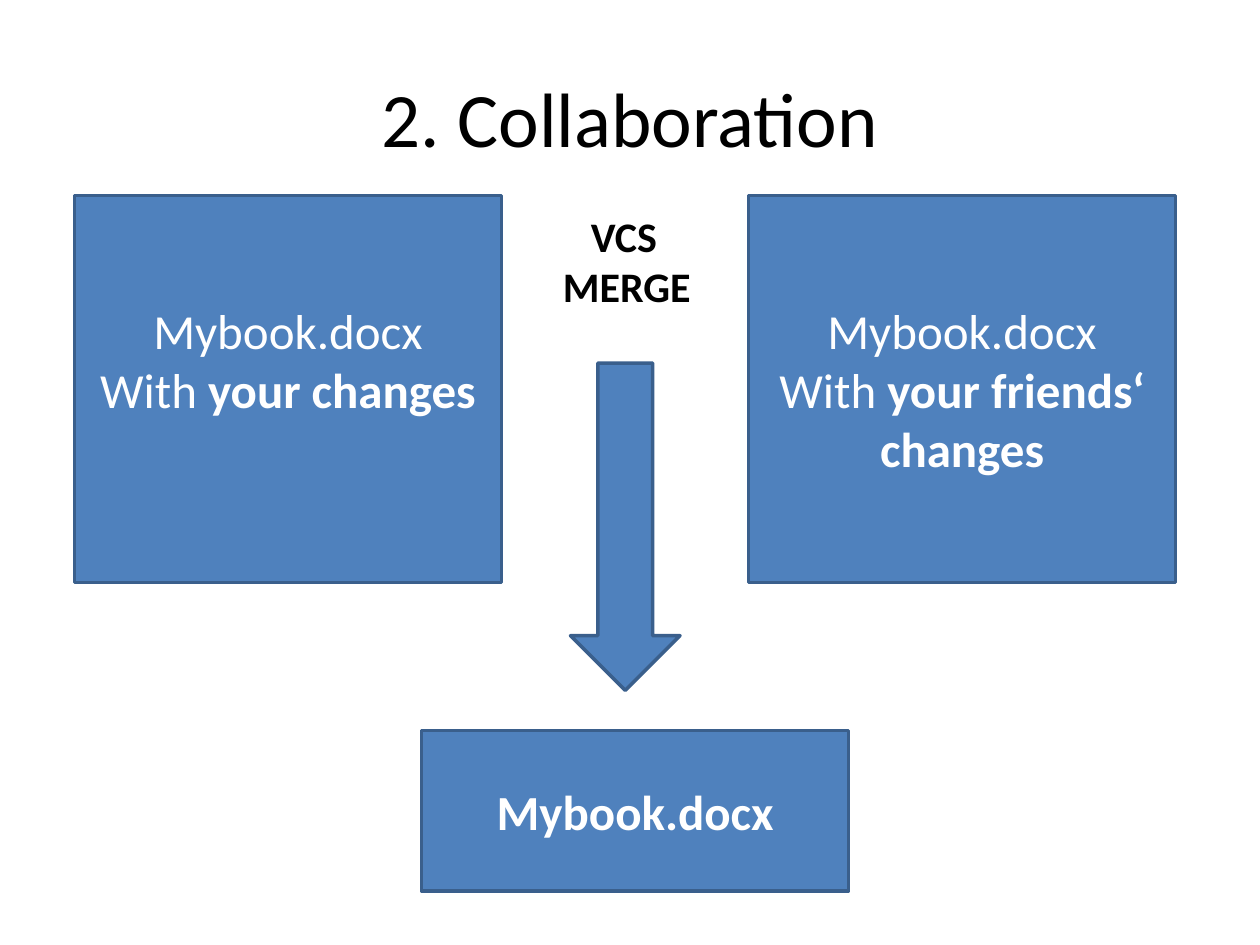
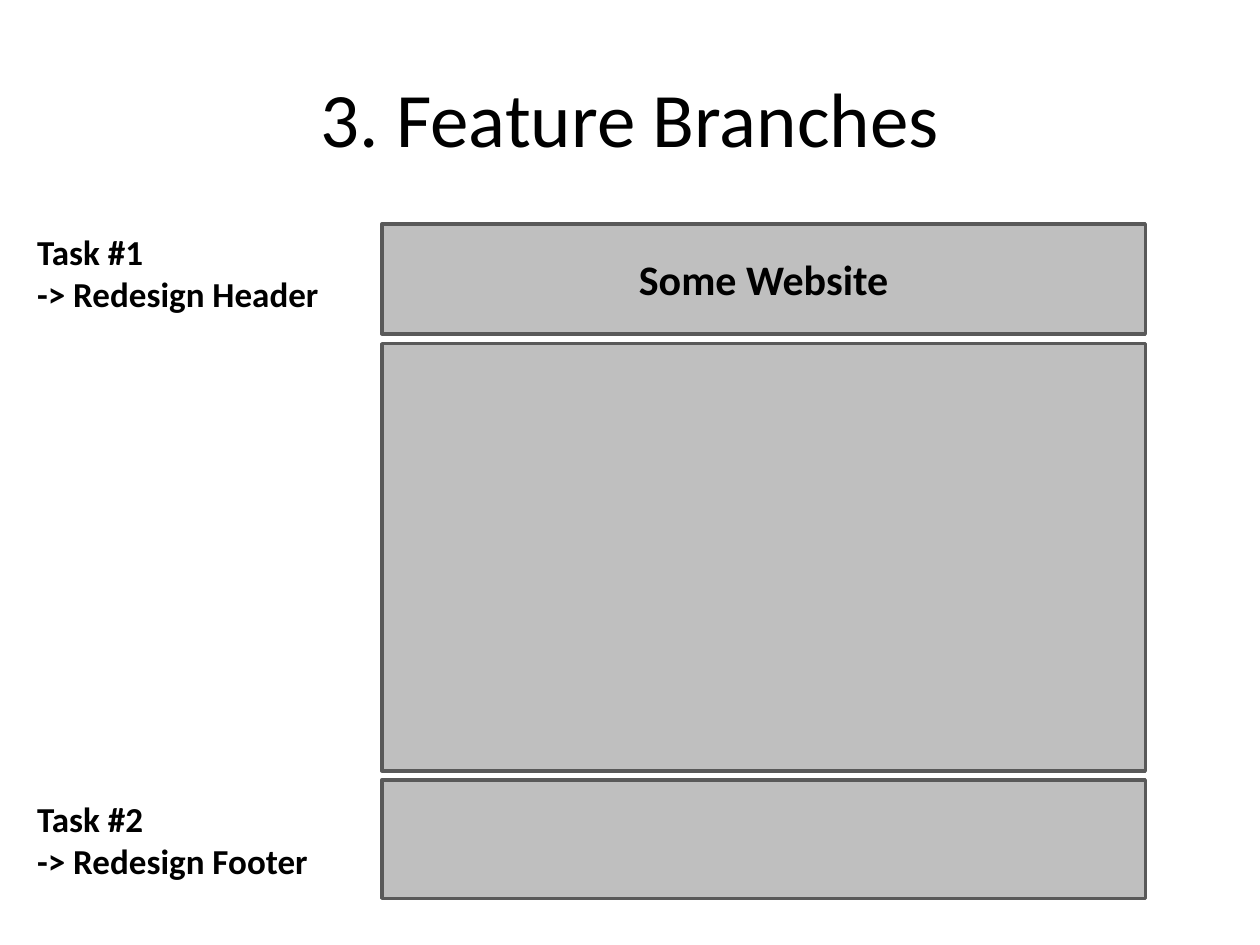
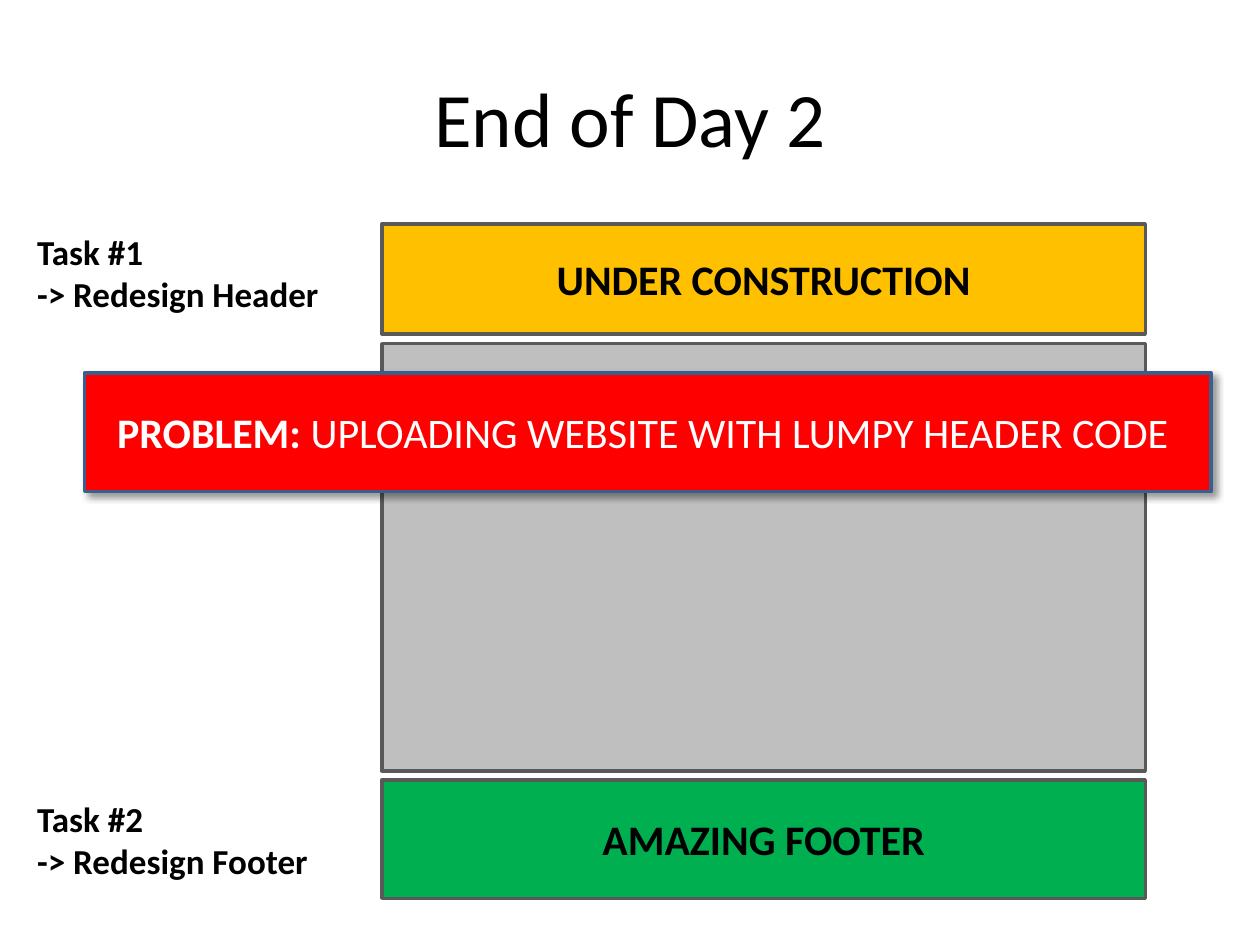
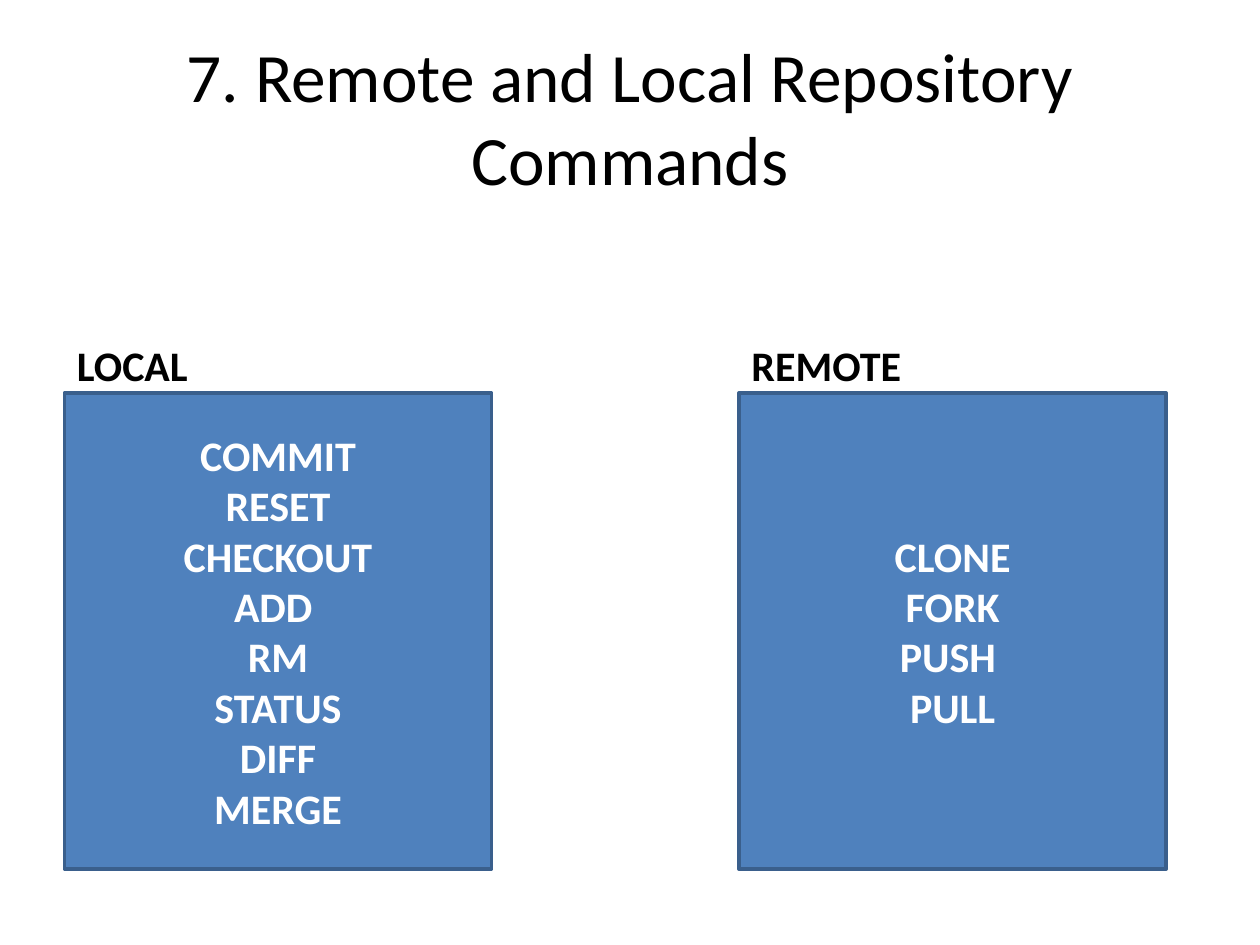
from dataclasses import dataclass

from lxml import etree
from pptx import Presentation
from pptx.dml.color import RGBColor
from pptx.enum.shapes import MSO_SHAPE
from pptx.enum.text import MSO_ANCHOR, MSO_AUTO_SIZE, PP_ALIGN
from pptx.oxml.ns import qn
from pptx.util import Cm, Pt

RECTANGLE = MSO_SHAPE.RECTANGLE
DOWN_ARROW = MSO_SHAPE.DOWN_ARROW
LEFT = PP_ALIGN.LEFT
CENTER = PP_ALIGN.CENTER
MIDDLE = MSO_ANCHOR.MIDDLE
NO_FIT = MSO_AUTO_SIZE.NONE
GROW = MSO_AUTO_SIZE.SHAPE_TO_FIT_TEXT
TITLE_ONLY = 5
BOLD_MARK = "*"


@dataclass(frozen=True)
class Theme:
    font: str = "Calibri"
    black: str = "000000"
    white: str = "FFFFFF"
    blue: str = "4F81BD"
    navy: str = "3A5F8C"
    silver: str = "BFBFBF"
    gray: str = "595959"
    amber: str = "FFC000"
    green: str = "00B050"
    red: str = "FF0000"
    title: float = 44
    long_title: float = 39.6
    file_name: float = 28
    label: float = 24
    task: float = 20
    outline: float = 2


THEME = Theme()


@dataclass(frozen=True)
class Area:
    left: float
    top: float
    width: float
    height: float

    def lengths(self) -> tuple:
        return Cm(self.left), Cm(self.top), Cm(self.width), Cm(self.height)


@dataclass(frozen=True)
class Panel:
    area: Area
    text: str = ""
    size: float = THEME.label
    fill: str = THEME.blue
    line: str = THEME.navy
    color: str = THEME.white
    kind: int = RECTANGLE
    bottom_inset: float = 0.13


@dataclass(frozen=True)
class Label:
    area: Area
    text: str
    size: float = THEME.label


def write(frame, text: str, *, size: float, color: str, align=LEFT) -> None:
    frame.word_wrap = True
    for number, line in enumerate(text.split("\n")):
        para = frame.paragraphs[0] if number == 0 else frame.add_paragraph()
        para.alignment = align
        for position, words in enumerate(line.split(BOLD_MARK)):
            if words:
                span = para.add_run()
                span.text = words
                span.font.name = THEME.font
                span.font.size = Pt(size)
                span.font.bold = position % 2 == 1
                span.font.color.rgb = RGBColor.from_string(color)


def add_page(deck, title: str, size: float = THEME.title):
    page = deck.slides.add_slide(deck.slide_layouts[TITLE_ONLY])
    box = page.shapes.title
    box.left, box.top, box.width, box.height = Area(1.27, 0.76, 22.86, 3.18).lengths()
    frame = box.text_frame
    frame.auto_size = NO_FIT
    frame.vertical_anchor = MIDDLE
    write(frame, title, size=size, color=THEME.black, align=CENTER)
    return page


def add_panel(page, panel: Panel):
    shape = page.shapes.add_shape(panel.kind, *panel.area.lengths())
    shape.shadow.inherit = False
    shape.fill.solid()
    shape.fill.fore_color.rgb = RGBColor.from_string(panel.fill)
    shape.line.color.rgb = RGBColor.from_string(panel.line)
    shape.line.width = Pt(THEME.outline)
    if panel.text:
        frame = shape.text_frame
        frame.vertical_anchor = MIDDLE
        frame.margin_bottom = Cm(panel.bottom_inset)
        write(frame, panel.text, size=panel.size, color=panel.color, align=CENTER)
    return shape


def add_label(page, label: Label):
    box = page.shapes.add_textbox(*label.area.lengths())
    write(box.text_frame, label.text, size=label.size, color=THEME.black)
    box.text_frame.auto_size = GROW
    return box


def indent(para, length: float) -> None:
    para._p.get_or_add_pPr().set("marL", str(Cm(length)))


def cast_shadow(shape) -> None:
    effects = shape._element.spPr.find(qn("a:effectLst"))
    shadow = etree.SubElement(
        effects, qn("a:outerShdw"), blurRad=str(Pt(4)), dist=str(Pt(3)),
        dir=str(45 * 60000), algn="tl", rotWithShape="0")
    color = etree.SubElement(shadow, qn("a:srgbClr"), val=THEME.black)
    etree.SubElement(color, qn("a:alpha"), val="40000")


def collaboration(deck) -> None:
    page = add_page(deck, "2. Collaboration")
    size = THEME.file_name
    add_panel(page, Panel(Area(1.5, 3.94, 8.61, 7.8),
                          "Mybook.docx\nWith *your changes*", size, bottom_inset=1.33))
    add_panel(page, Panel(Area(15.09, 3.94, 8.61, 7.8),
                          "Mybook.docx\nWith *your friends‘ changes*", size))
    merge = add_label(page, Label(Area(11.1, 4.11, 3.4, 2.31), "*VCS*\n*MERGE*"))
    indent(merge.text_frame.paragraphs[0], 0.56)
    add_panel(page, Panel(Area(11.5, 7.32, 2.21, 6.6), kind=DOWN_ARROW))
    add_panel(page, Panel(Area(8.5, 14.73, 8.61, 3.23), "*Mybook.docx*", size))


def website(deck, title: str, header: str, footer: str,
            header_fill: str = THEME.silver, footer_fill: str = THEME.silver):
    page = add_page(deck, title)
    sections = (
        (4.52, 2.21, header, header_fill),
        (6.93, 8.61, "", THEME.silver),
        (15.72, 2.39, footer, footer_fill),
    )
    for top, height, text, fill in sections:
        add_panel(page, Panel(Area(7.7, top, 15.39, height), text, fill=fill,
                              line=THEME.gray, color=THEME.black))
    for number, (top, part) in enumerate(((4.52, "Header"), (15.95, "Footer")), 1):
        add_label(page, Label(Area(0.5, top, 6.81, 1.96),
                              f"*Task #{number}*\n*-> Redesign {part}*", THEME.task))
    return page


def end_of_day(deck) -> None:
    page = website(deck, "End of Day 2", "*UNDER CONSTRUCTION*", "*AMAZING FOOTER*",
                   THEME.amber, THEME.green)
    problem = add_panel(page, Panel(
        Area(1.7, 7.52, 22.71, 2.39),
        "*PROBLEM: *UPLOADING WEBSITE WITH LUMPY HEADER CODE ", fill=THEME.red))
    cast_shadow(problem)


def repository_commands(deck) -> None:
    page = add_page(deck, "7. Remote and Local Repository Commands", THEME.long_title)
    columns = (
        (1.3, "LOCAL", 2.9, ("COMMIT", "RESET", "CHECKOUT", "ADD ", "RM",
                             "STATUS", "DIFF", "MERGE")),
        (14.9, "REMOTE", 6.6, ("CLONE", "FORK", "PUSH ", "PULL")),
    )
    for left, place, width, commands in columns:
        listing = "\n".join(f"*{command}*" for command in commands)
        add_panel(page, Panel(Area(left, 7.92, 8.61, 9.6), listing))
        add_label(page, Label(Area(left, 6.72, width, 1.27), f"*{place}*"))


def main() -> None:
    deck = Presentation()
    deck.slide_width, deck.slide_height = Cm(25.4), Cm(19.05)
    collaboration(deck)
    website(deck, "3. Feature Branches", "*Some Website*", "")
    end_of_day(deck)
    repository_commands(deck)
    deck.save("out.pptx")


if __name__ == "__main__":
    main()
